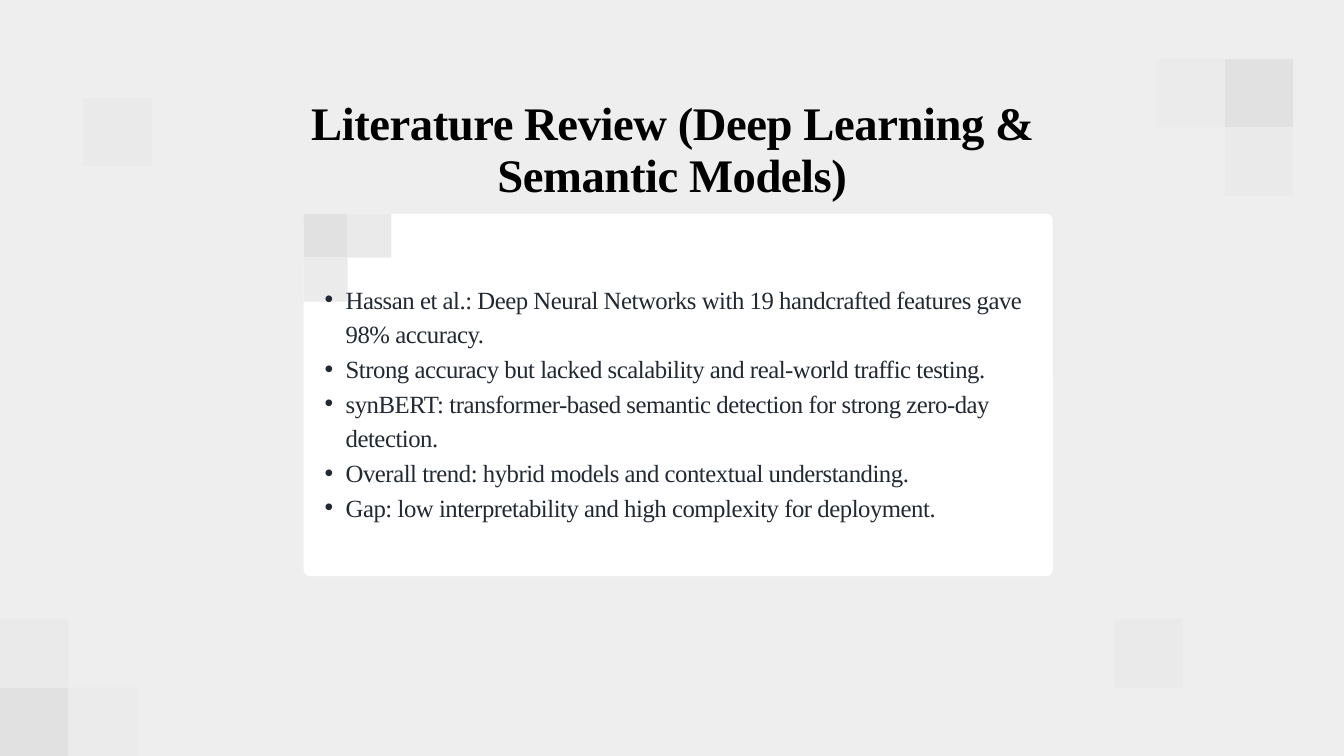
from pptx import Presentation
from pptx.dml.color import RGBColor
from pptx.enum.shapes import MSO_SHAPE as SHAPE
from pptx.enum.text import MSO_AUTO_SIZE as AUTO, PP_ALIGN as ALIGN
from pptx.oxml.ns import qn
from pptx.util import Pt
from lxml import etree

# Content
TITLE = "Literature Review (Deep Learning & Semantic Models)"
POINTS = [
    "Hassan et al.: Deep Neural Networks with 19 handcrafted features gave 98% accuracy.",
    "Strong accuracy but lacked scalability and real-world traffic testing.",
    "synBERT: transformer-based semantic detection for strong zero-day detection.",
    "Overall trend: hybrid models and contextual understanding.",
    "Gap: low interpretability and high complexity for deployment.",
]

# Layout and format, in points
W, H = 1440, 810
LEFT, CARD_TOP, CARD_W, CARD_H, RADIUS = 325.4, 229.1, 802.6, 388.3, 6.7
TEXT_W = 789.8
TILE, SMALL = 73.2, 47
DARK, MID, LIGHT = "E1E1E2", "EBEBEC", "EAEAEB"
INDENT = 22.5
TITLE_FONT = {"name": "Times New Roman", "size": Pt(50), "bold": True}
BODY_FONT = {"name": "Times New Roman", "size": Pt(26.5)}

# Tile groups: corner x, corner y, tile size, [(column, row, colour)]
TILES = [
    (1312.4, 63.1, TILE, [(0, 0, DARK), (-1, 0, MID), (0, 1, LIGHT)]),
    (0, H - TILE, TILE, [(0, 0, DARK), (1, 0, MID), (0, -1, LIGHT)]),
    (LEFT, CARD_TOP, SMALL, [(0, 0, DARK), (0, 1, MID), (1, 0, LIGHT)]),
    (89.5, 105, TILE, [(0, 0, LIGHT)]),
    (1194, H - 2 * TILE, TILE, [(0, 0, LIGHT)]),
]


def rgb(color):
    return RGBColor.from_string(color)


def add_block(s, kind, x, y, w, h, color):
    sp = s.shapes.add_shape(kind, Pt(x), Pt(y), Pt(w), Pt(h))
    sp.shadow.inherit = False
    sp.fill.solid()
    sp.fill.fore_color.rgb = rgb(color)
    sp.line.fill.background()
    return sp


def add_bullet(p):
    pPr = p._p.get_or_add_pPr()
    pPr.set("marL", str(Pt(2 * INDENT)))
    pPr.set("indent", str(Pt(-INDENT)))
    for tag, key, value in (("a:buFont", "typeface", "Arial"), ("a:buChar", "char", "•")):
        etree.SubElement(pPr, qn(tag)).set(key, value)


def add_text(s, y, h, lines, spacing, font, color, align=ALIGN.LEFT, bullets=False):
    tf = s.shapes.add_textbox(Pt(LEFT), Pt(y), Pt(TEXT_W), Pt(h)).text_frame
    tf.word_wrap = True
    tf.auto_size = AUTO.SHAPE_TO_FIT_TEXT
    for side in ("left", "top", "right", "bottom"):
        setattr(tf, f"margin_{side}", 0)
    for i, line in enumerate(lines):
        p = tf.add_paragraph() if i else tf.paragraphs[0]
        p.alignment, p.line_spacing = align, Pt(spacing)
        if bullets:
            p.level = 1
            add_bullet(p)
        r = p.add_run()
        r.text = line
        for name, value in font.items():
            setattr(r.font, name, value)
        r.font.color.rgb = rgb(color)
        r._r.get_or_add_rPr().set("spc", "-50")


def main():
    prs = Presentation()
    prs.slide_width, prs.slide_height = Pt(W), Pt(H)
    s = prs.slides.add_slide(prs.slide_layouts[6])
    s.background.fill.solid()
    s.background.fill.fore_color.rgb = rgb("EEEEEF")

    # Card
    card = add_block(s, SHAPE.ROUNDED_RECTANGLE, LEFT, CARD_TOP, CARD_W, CARD_H, "FFFFFF")
    card.adjustments[0] = RADIUS / CARD_H

    # Decorative tiles
    for x, y, size, cells in TILES:
        for col, row, color in cells:
            add_block(s, SHAPE.RECTANGLE, x + col * size, y + row * size, size, size, color)

    # Text
    add_text(s, 299.5, 294.5, POINTS, 37.1, BODY_FONT, "222933", bullets=True)
    add_text(s, 105.8, 113.8, [TITLE], 55, TITLE_FONT, "000000", ALIGN.CENTER)

    prs.save("out.pptx")


if __name__ == "__main__":
    main()
